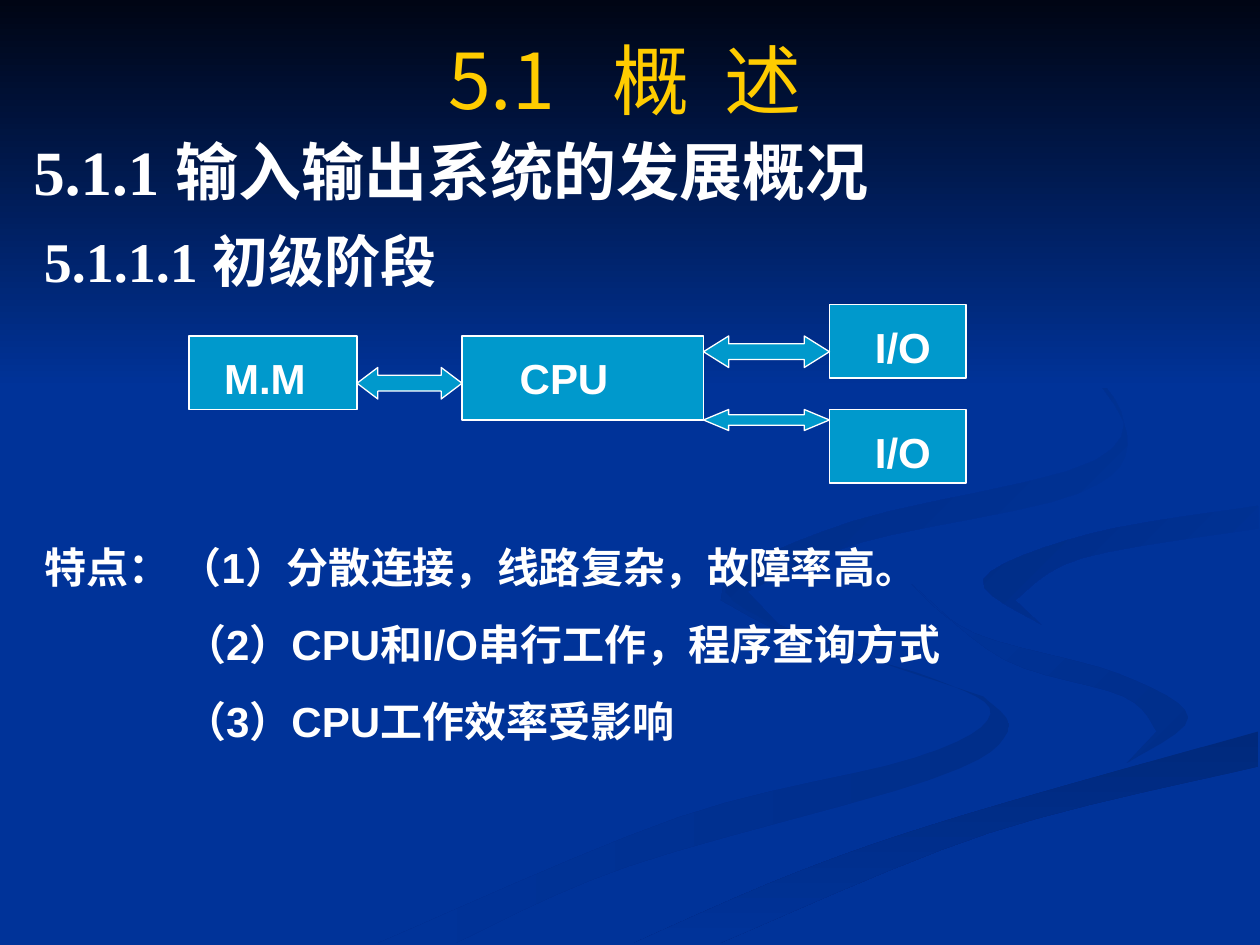
from pptx import Presentation
from pptx.dml.color import RGBColor as Rgb
from pptx.enum.shapes import MSO_SHAPE as Kind
from pptx.enum.text import MSO_ANCHOR as Anchor, MSO_AUTO_SIZE as Fit, PP_ALIGN as Align
from pptx.oxml.ns import qn
from pptx.util import Pt

INK = {"blue": "003399", "night": "000514", "gold": "FFCC00", "white": "FFFFFF",
       "cyan": "0099CC", "dusk": "002E8A", "deep": "00297C", "haze": "002C85", "dim": "002B81"}
HAN = "Noto Sans CJK SC"

# Each ribbon: gradient start, end, clockwise angle, then its smooth edges
RIBBONS = [
    ("dusk", "blue", 180,
     [(562, 398), (491, 374), (428, 349), (414, 330)],
     [(412, 343), (454, 364), (534, 388), (566, 408), (523, 433), (388, 467), (216, 539)],
     [(260, 539), (359, 495), (533, 445), (576, 418), (562, 398)]),
    ("dusk", "blue", 225,
     [(521, 334), (557, 362), (639, 385), (679, 410), (644, 436)],
     [(661, 418), (642, 398), (574, 377), (521, 334)]),
    ("deep", "blue", 90,
     [(362, 539), (454, 499), (550, 466), (719, 418)],
     [(719, 438), (565, 476), (411, 539)]),
    ("blue", "haze", 225,
     [(719, 289), (623, 305), (562, 331), (595, 357)],
     [(580, 343), (618, 319), (719, 302)]),
    ("blue", "dim", 225,
     [(549, 168), (631, 220), (626, 263), (487, 298), (415, 333), (448, 360)],
     [(427, 338), (492, 310), (616, 282), (644, 248), (607, 198), (549, 168)]),
]


def assign(item, form):
    for name, value in form.items():
        setattr(item, name, value)


def place(shape, box):
    assign(shape, dict(zip(("left", "top", "width", "height"), map(Pt, box))))


def write(para, text, size, face="Arial", tint="white", bold=True, gap=0):
    """Add a run; gap widens its letter spacing, in points."""
    run = para.add_run()
    run.text = text
    assign(run.font, {"size": Pt(size), "name": face, "bold": bold})
    run.font.color.rgb = Rgb.from_string(INK[tint])
    props = run.font._element
    east = props.makeelement(qn("a:ea"), {"typeface": HAN})
    props.find(qn("a:latin")).addnext(east)
    if gap:
        props.set("spc", str(gap * 100))


def smooth(edge, steps=6):
    """Return points on a Catmull-Rom curve through the edge."""
    knots = [edge[0], *edge, edge[-1]]
    dots = [edge[0]]
    for quad in zip(knots, knots[1:], knots[2:], knots[3:]):
        for k in range(1, steps + 1):
            t = k / steps
            dots.append(tuple(
                b + t * (c - a) / 2 + t**2 * (2 * a - 5 * b + 4 * c - d) / 2
                + t**3 * (3 * b - a - 3 * c + d) / 2
                for a, b, c, d in zip(*quad)))
    return dots


def shade(shape, first, last, turn):
    shape.shadow.inherit = False
    shape.line.fill.background()
    shape.fill.gradient()
    shape.fill.gradient_angle = 360 - turn
    for stop, tint in zip(shape.fill.gradient_stops, (first, last)):
        stop.color.rgb = Rgb.from_string(INK[tint])


def draw_back(slide, box):
    x, y, w = box[:3]
    for first, last, turn, *edges in RIBBONS:
        spots = [(Pt(x + a), Pt(y + b)) for edge in edges for a, b in smooth(edge)]
        pen = slide.shapes.build_freeform(*spots[0])
        pen.add_line_segments(spots[1:])
        shade(pen.convert_to_shape(), first, last, turn)
    sky = slide.shapes.add_shape(Kind.RECTANGLE, *map(Pt, (x, y, w, 222)))
    shade(sky, "night", "blue", 90)


def set_title(slide, box):
    title = slide.shapes.title
    place(title, box)
    assign(title.text_frame, {"vertical_anchor": Anchor.MIDDLE, "auto_size": Fit.NONE})
    para = title.text_frame.paragraphs[0]
    para.alignment = Align.CENTER
    for text, gap in (("5.1", 0), (" ", 23), ("概", 0), (" ", 10), ("述", 0)):
        write(para, text, 44, HAN, "gold", False, gap)


def add_head(slide, box, text, size):
    head = slide.shapes.add_textbox(*map(Pt, box))
    head.text_frame.word_wrap = True
    write(head.text_frame.paragraphs[0], text, size, "Times New Roman")


def add_block(slide, kind, box):
    block = slide.shapes.add_shape(kind, *map(Pt, box))
    block.shadow.inherit = False
    block.fill.solid()
    block.fill.fore_color.rgb = Rgb.from_string(INK["cyan"])
    block.line.color.rgb = Rgb.from_string(INK["white"])
    block.line.width = Pt(0.75)
    return block


def draw_links(slide, box):
    """Memory, processor and two devices, joined by double arrows."""
    x, y = box[:2]
    units = [("M.M", 0, 18, 96, 42, 20), ("CPU", 156, 18, 138, 48, 33),
             ("I/O", 366, 0, 78, 42, 26), ("I/O", 366, 60, 78, 42, 26)]
    for text, dx, dy, w, h, inset in units:
        unit = add_block(slide, Kind.RECTANGLE, (x + dx, y + dy, w, h))
        frame = unit.text_frame
        assign(frame, {"margin_left": Pt(inset), "margin_right": 0, "margin_top": Pt(9.6),
                       "margin_bottom": 0, "vertical_anchor": Anchor.TOP, "word_wrap": True})
        para = frame.paragraphs[0]
        para.alignment = Align.LEFT
        write(para, text, 24)
    arrows = [(96, 36, 60, 18, 0.66), (294, 18, 72, 18, 0.8), (294, 60, 72, 12, 1.2)]
    for dx, dy, w, h, tip in arrows:
        arrow = add_block(slide, Kind.LEFT_RIGHT_ARROW, (x + dx, y + dy, w, h))
        arrow.adjustments[1] = tip


def set_traits(slide, box):
    body = slide.placeholders[1]
    place(body, box)
    frame = body.text_frame
    assign(frame, {"vertical_anchor": Anchor.TOP, "auto_size": Fit.NONE, "word_wrap": True})
    lines = ["特点： （1）分散连接，线路复杂，故障率高。",
             "（2）CPU和I/O串行工作，程序查询方式",
             "（3）CPU工作效率受影响"]
    for i, text in enumerate(lines):
        para = frame.add_paragraph() if i else frame.paragraphs[0]
        props = para._p.get_or_add_pPr()
        props.set("marL", str(Pt(80 if i else 0)))
        props.set("indent", "0")
        props.append(props.makeelement(qn("a:buNone"), {}))
        para.space_before = Pt(15 if i else 0)
        write(para, text, 24)


def main():
    deck = Presentation()
    assign(deck, {"slide_width": Pt(720), "slide_height": Pt(540)})
    slide = deck.slides.add_slide(deck.slide_layouts[1])
    slide.background.fill.solid()
    slide.background.fill.fore_color.rgb = Rgb.from_string(INK["blue"])
    draw_back(slide, (0, 0, 720, 540))
    # Placeholders come first in the tree, so lift them above the backdrop
    for holder in list(slide.placeholders):
        slide.shapes._spTree.append(holder._element)
    set_title(slide, (18, 0, 678, 90))
    add_head(slide, (12, 72, 540, 50), "5.1.1 输入输出系统的发展概况", 36)
    add_head(slide, (18, 126, 306, 46), "5.1.1.1 初级阶段", 32)
    draw_links(slide, (108, 174, 444, 102))
    set_traits(slide, (18, 306, 684, 124))
    deck.save("out.pptx")


if __name__ == "__main__":
    main()
